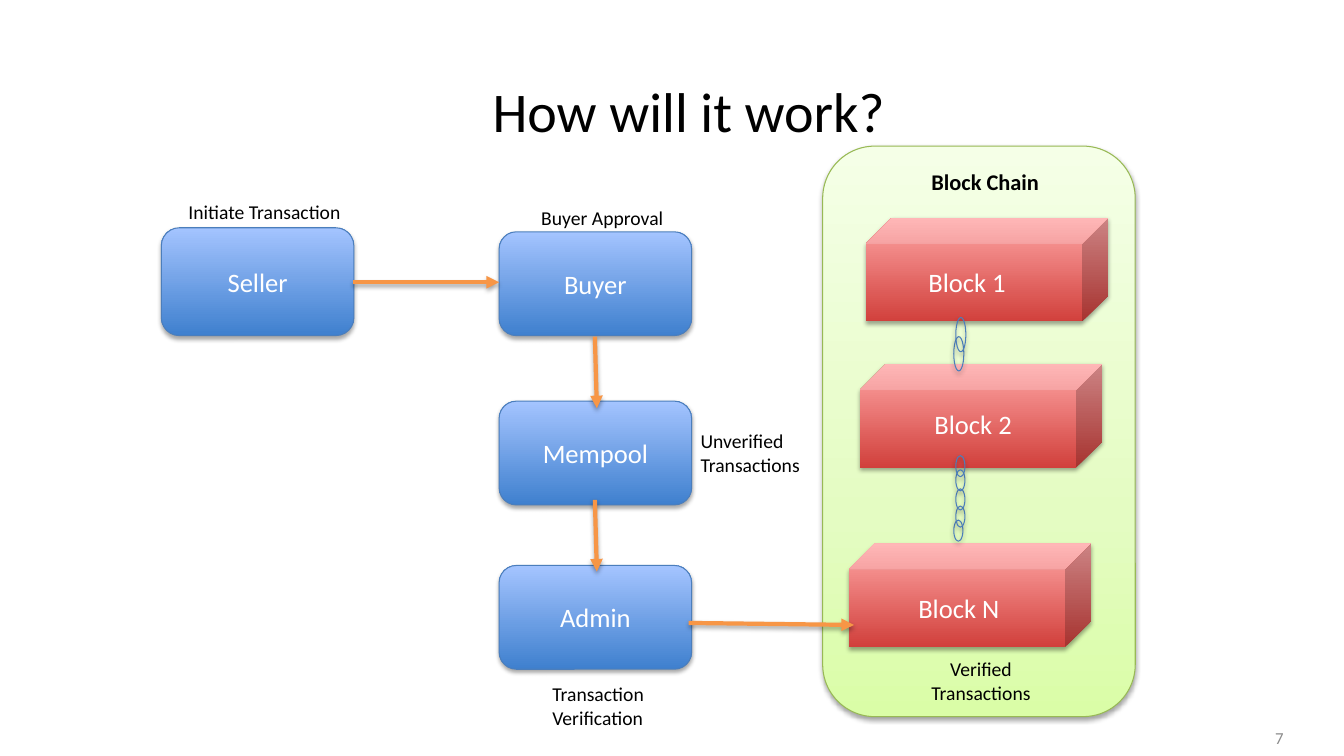
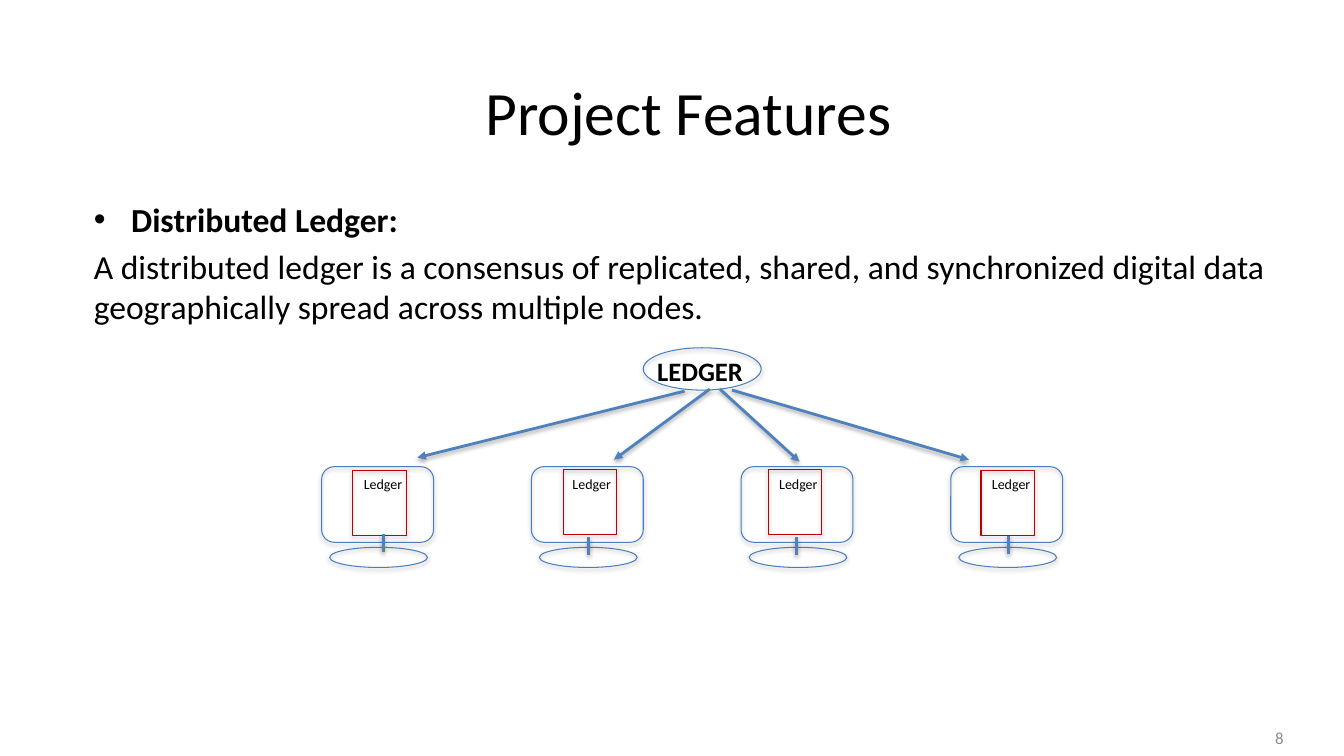
from dataclasses import dataclass

from lxml.etree import SubElement
from pptx import Presentation
from pptx.dml.color import RGBColor
from pptx.enum.shapes import MSO_CONNECTOR, MSO_SHAPE
from pptx.enum.text import MSO_ANCHOR, PP_ALIGN
from pptx.oxml.ns import qn
from pptx.util import Inches, Pt


@dataclass(frozen=True)
class Theme:
    font: str = "Calibri"
    black: str = "000000"
    white: str = "FFFFFF"
    gray: str = "8C8C8C"
    outline: str = "4B7EBC"
    blue: str = "4F81BD"
    orange: str = "F79646"
    green: str = "98B955"
    red: str = "C00000"
    # Gradients run from bottom to top: (percent, colour)
    blue_fade: tuple = ((0, "3F80CE"), (100, "A4C4FF"))
    red_fade: tuple = ((0, "D1403C"), (100, "FFA6A5"))
    green_fade: tuple = ((0, "DAFDA7"), (35, "E4FCC2"), (100, "F5FFE7"))
    title: int = 44
    short_title: int = 40
    body: int = 24
    name: int = 19
    heading: int = 16
    caption: int = 14
    number: int = 12
    tag: int = 10
    hairline: float = 0.75


theme = Theme()


def format_text(para, size, color=theme.black, bold=False, align=None):
    para.alignment = align
    para.font.color.rgb = RGBColor.from_string(color)
    values = {"name": theme.font, "size": Pt(size), "bold": bold}
    for span in para.runs:
        span.font.color.rgb = RGBColor.from_string(color)
        for attribute, value in values.items():
            setattr(span.font, attribute, value)


def finish_line(item, color, width):
    """Set the outline, or none, and the soft shadow below."""
    if color:
        item.line.color.rgb = RGBColor.from_string(color)
        item.line.width = Pt(width)
    else:
        item.line.fill.background()
    effects = SubElement(item.element.spPr, qn("a:effectLst"))
    shadow = SubElement(effects, qn("a:outerShdw"), blurRad="40000", dist="23000",
                        dir="5400000", rotWithShape="0")
    tint = SubElement(shadow, qn("a:srgbClr"), val=theme.black)
    SubElement(tint, qn("a:alpha"), val="35000")


# Workflow: shapes are (kind, place, outline, gradient, name)
rounded, cube = MSO_SHAPE.ROUNDED_RECTANGLE, MSO_SHAPE.CUBE
oval, rectangle = MSO_SHAPE.OVAL, MSO_SHAPE.RECTANGLE
flow_shapes = [(rounded, (8.16, 1.45, 3.1, 5.66), theme.green, theme.green_fade, "")]
for name, left, top, height in [
    ("Seller", 1.6, 2.26, 1.07),
    ("Buyer", 4.95, 2.3, 1.03),
    ("Mempool", 4.95, 3.98, 1.03),
    ("Admin", 4.95, 5.61, 1.03),
]:
    flow_shapes.append(
        (rounded, (left, top, 1.91, height), theme.outline, theme.blue_fade, name))
for left, top in [(8.42, 5.39), (8.53, 3.61), (8.59, 2.16)]:
    flow_shapes.append((cube, (left, top, 2.4, 1.03), None, theme.red_fade, ""))
for left, top, width, height in [
    (9.46, 3.34, 0.1, 0.34),
    (9.48, 3.15, 0.1, 0.34),
    (9.46, 5.16, 0.09, 0.21),
    *[(9.48, top, 0.09, 0.21) for top in (5.02, 4.85, 4.66, 4.52)],
]:
    flow_shapes.append((oval, (left, top, width, height), theme.outline, None, ""))

# Workflow: lines are (start and end, colour, width, arrowhead)
flow_lines = [
    (ends, theme.orange, 3, True)
    for ends in [
        (3.5, 2.8, 4.95, 2.8),
        (5.9, 3.34, 5.92, 4.05),
        (5.9, 4.96, 5.92, 5.67),
        (6.83, 6.18, 8.47, 6.2),
    ]
]

# Workflow: labels are (text, place, format)
block_format = {"size": theme.name, "color": theme.white}
caption_format = {"size": theme.caption}
flow_labels = [
    ("Block 1", (9.11, 2.59, 3, 0.42), block_format),
    ("Block 2", (9.17, 4, 3, 0.42), block_format),
    ("Block N", (9.01, 5.82, 3, 0.42), block_format),
    ("Initiate Transaction", (1.77, 1.93, 1.74, 0.34), caption_format),
    ("Buyer Approval", (5.27, 1.99, 1.74, 0.34), caption_format),
    ("Unverified Transactions", (6.85, 4.21, 1.74, 0.57), caption_format),
    ("Transaction Verification", (5.38, 6.72, 1.74, 0.57), caption_format),
    ("Verified Transactions", (8.86, 6.47, 1.74, 0.57),
     {**caption_format, "align": PP_ALIGN.CENTER}),
    ("Block Chain", (9.14, 1.62, 1.74, 0.37), {"size": theme.heading, "bold": True}),
]

# Ledger: the source above four computers, each with its own sheet
ledger_shapes = [(oval, (6.38, 3.45, 1.17, 0.42), theme.outline, None, "")]
ledger_lines = []
ledger_labels = [("LEDGER", (6.42, 3.47, 3, 0.42), {"size": theme.name, "bold": True})]
computers = [
    # sheet, tag, stem, arrow
    ((3.5, 4.67), 3.51, (3.8, 5.3), (6.79, 3.88, 4.14, 4.54)),
    ((5.59, 4.66), 5.58, (5.84, 5.33), (7.04, 3.86, 6.09, 4.56)),
    ((7.62, 4.66), 7.63, (7.9, 5.33), (7.14, 3.86, 7.93, 4.58)),
    ((9.73, 4.67), 9.74, (10, 5.32), (7.26, 3.87, 9.61, 4.56)),
]
for index, (sheet, tag_left, (stem_x, stem_y), arrow) in enumerate(computers):
    left = 3.19 + 2.08 * index
    ledger_shapes += [
        (rounded, (left, 4.63, 1.11, 0.75), theme.outline, None, ""),
        (oval, (left + 0.08, 5.43, 0.97, 0.2), theme.outline, None, ""),
        (rectangle, (*sheet, 0.53, 0.64), theme.red, None, ""),
    ]
    ledger_lines += [
        (arrow, theme.blue, 2, True),
        ((stem_x, stem_y, stem_x, stem_y + 0.18), theme.blue, 2, False),
    ]
    ledger_labels.append(("Ledger", (tag_left, 4.67, 3, 0.27), {"size": theme.tag}))

ledger_body = [
    # text, bold, hanging indent
    ("Distributed Ledger:", True, 0.37),
    ("A distributed ledger is a consensus of replicated, shared, and synchronized "
     "digital data geographically spread across multiple nodes.", False, 0),
]

# Deck
deck = Presentation()
deck.slide_width, deck.slide_height = Inches(13.33), Inches(7.5)
deck.element.set("firstSlideNum", "7")
title_only, title_and_body = deck.slide_layouts[5], deck.slide_layouts[1]

for number, (layout, title, title_size, body, shapes, lines, labels) in enumerate([
    (title_only, "How will it work?", theme.short_title, [],
     flow_shapes, flow_lines, flow_labels),
    (title_and_body, "Project Features", theme.title, ledger_body,
     ledger_shapes, ledger_lines, ledger_labels),
], start=7):
    page = deck.slides.add_slide(layout)

    # Title and body
    for box, top, height in zip(page.placeholders, (0.47, 1.92), (1.25, 4.95)):
        box.left, box.top = Inches(0.83), Inches(top)
        box.width, box.height = Inches(12), Inches(height)
    page.shapes.title.text_frame.text = title
    format_text(page.shapes.title.text_frame.paragraphs[0], title_size,
                align=PP_ALIGN.CENTER)
    if body:
        frame = page.placeholders[1].text_frame
        frame.text = "\n".join(text for text, _, _ in body)
        for para, (_, bold, indent) in zip(frame.paragraphs, body):
            format_text(para, theme.body, bold=bold)
            properties = para._p.get_or_add_pPr()
            properties.set("marL", str(Inches(indent)))
            properties.set("indent", str(-Inches(indent)))
            if not indent:
                SubElement(properties, qn("a:buNone"))

    # Shapes
    for kind, place, outline, fade, name in shapes:
        shape = page.shapes.add_shape(kind, *map(Inches, place))
        if fade:
            shape.fill.gradient()
            shape.fill.gradient_angle = 90
            stops = shape.element.spPr.find(".//" + qn("a:gsLst"))
            for stop in list(stops):
                stops.remove(stop)
            for percent, color in fade:
                stop = SubElement(stops, qn("a:gs"), pos=str(percent * 1000))
                SubElement(stop, qn("a:srgbClr"), val=color)
        else:
            shape.fill.background()
        finish_line(shape, outline, theme.hairline)
        if name:
            shape.text_frame.text = name
            format_text(shape.text_frame.paragraphs[0], theme.name, theme.white,
                        align=PP_ALIGN.CENTER)

    # Lines and arrows
    for ends, color, width, has_head in lines:
        line = page.shapes.add_connector(MSO_CONNECTOR.STRAIGHT, *map(Inches, ends))
        finish_line(line, color, width)
        if has_head:
            SubElement(line.element.spPr.find(qn("a:ln")), qn("a:tailEnd"),
                       type="triangle")

    # Labels
    for text, place, text_format in labels:
        box = page.shapes.add_textbox(*map(Inches, place))
        box.text_frame.word_wrap = True
        box.text_frame.text = text
        format_text(box.text_frame.paragraphs[0], **text_format)

    # Page number
    box = page.shapes.add_textbox(*map(Inches, (9.72, 7.12, 3.11, 0.4)))
    box.text_frame.vertical_anchor = MSO_ANCHOR.MIDDLE
    para = box.text_frame.paragraphs[0]
    para.alignment = PP_ALIGN.RIGHT
    field = SubElement(para._p, qn("a:fld"), type="slidenum",
                       id="{B6F15528-21DE-4FAA-801E-634DDDAF4B2B}")
    style = SubElement(field, qn("a:rPr"), lang="en-US", sz=str(theme.number * 100))
    ink = SubElement(style, qn("a:solidFill"))
    SubElement(ink, qn("a:srgbClr"), val=theme.gray)
    SubElement(style, qn("a:latin"), typeface=theme.font)
    SubElement(field, qn("a:t")).text = str(number)

deck.save("out.pptx")
